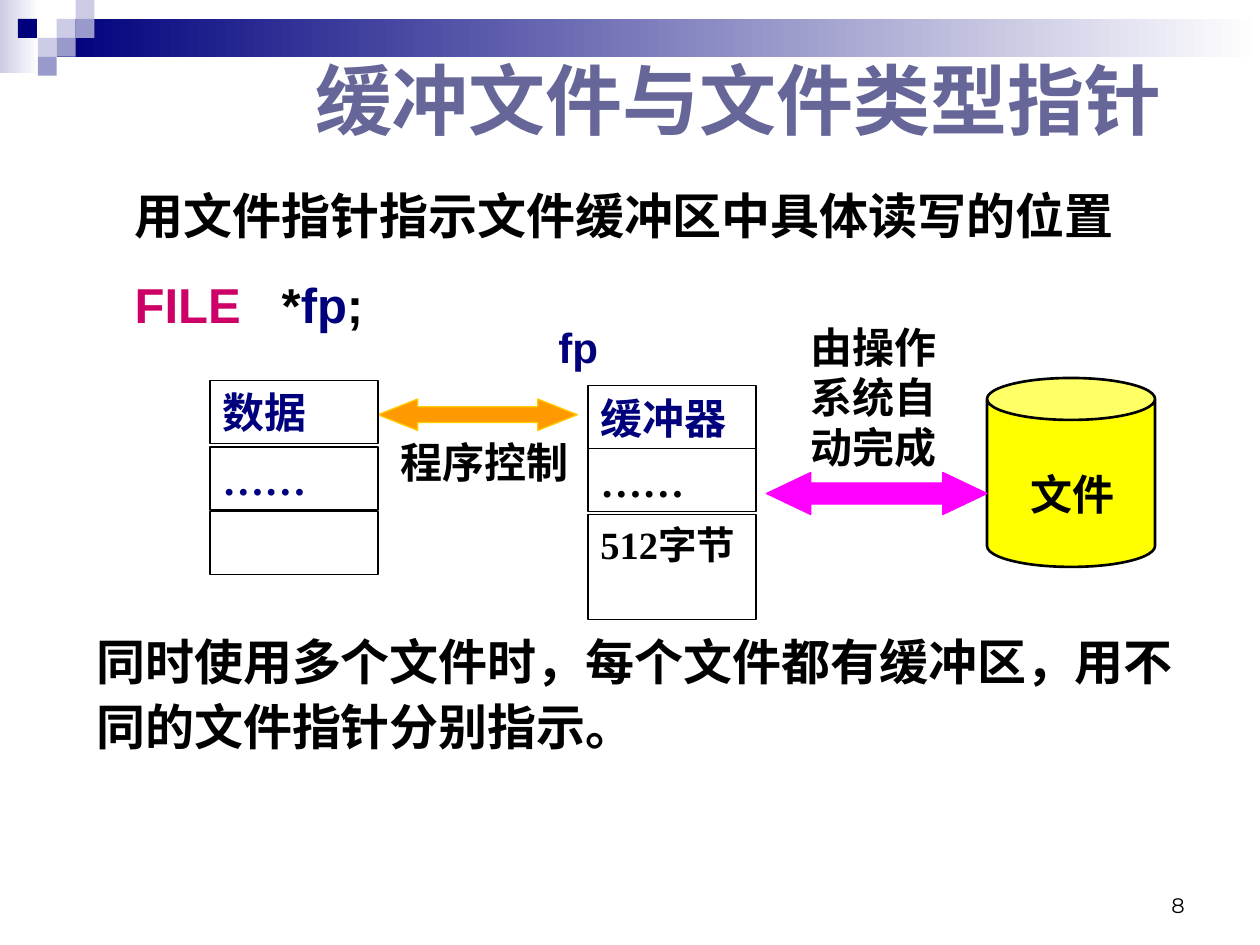
from pptx import Presentation
from pptx.dml.color import RGBColor
from pptx.enum.shapes import MSO_SHAPE
from pptx.enum.text import MSO_ANCHOR, PP_ALIGN
from pptx.oxml.ns import qn
from pptx.util import Pt
from lxml import etree

RECT = MSO_SHAPE.RECTANGLE
ARROW = MSO_SHAPE.LEFT_RIGHT_ARROW
CAN = MSO_SHAPE.CAN
TOP, MIDDLE, BOTTOM = MSO_ANCHOR.TOP, MSO_ANCHOR.MIDDLE, MSO_ANCHOR.BOTTOM
LEFT, RIGHT = PP_ALIGN.LEFT, PP_ALIGN.RIGHT

BLACK = RGBColor(0x00, 0x00, 0x00)
WHITE = RGBColor(0xFF, 0xFF, 0xFF)
NAVY = RGBColor(0x00, 0x00, 0x7D)
PALE = RGBColor(0xCC, 0xCC, 0xE6)
LILAC = RGBColor(0x99, 0x99, 0xCC)
SLATE = RGBColor(0x66, 0x66, 0x99)
ROSE = RGBColor(0xCC, 0x00, 0x66)
YELLOW = RGBColor(0xFF, 0xFF, 0x00)
PINK = RGBColor(0xFF, 0x00, 0xFF)
ORANGE = RGBColor(0xFF, 0x99, 0x00)
GOLD = RGBColor(0xFF, 0xCC, 0x00)

HAN = "Noto Sans CJK SC"
SERIF = "Times New Roman"
SANS = "Arial"
CELL = 10.8  # side of a corner square
BOX_W, BOX_H = 96, 36


def place(shape, x, y, w, h):
    shape.left, shape.top, shape.width, shape.height = Pt(x), Pt(y), Pt(w), Pt(h)


def style(para, size, color, face=SERIF, bold=True, align=LEFT):
    """Set the font of a whole paragraph, with its East Asian face."""
    para.alignment = align
    font = para.font
    font.size, font.bold, font.name = Pt(size), bold, face
    font.color.rgb = color
    props = para._p.pPr.find(qn("a:defRPr"))
    latin = props.find(qn("a:latin"))
    east = etree.Element(qn("a:ea"), typeface=HAN)
    latin.addnext(east)


def add_tab(para, pos):
    tabs = etree.SubElement(para._p.get_or_add_pPr(), qn("a:tabLst"))
    etree.SubElement(tabs, qn("a:tab"), pos=str(Pt(pos)), algn="l")


def add_shape(slide, kind, x, y, w, h, fill=None, line=None, width=0.75):
    shape = slide.shapes.add_shape(kind, Pt(x), Pt(y), Pt(w), Pt(h))
    shape.shadow.inherit = False
    if fill is None:
        shape.fill.background()
    else:
        shape.fill.solid()
        shape.fill.fore_color.rgb = fill
    if line is None:
        shape.line.fill.background()
    else:
        shape.line.color.rgb = line
        shape.line.width = Pt(width)
    return shape


def add_fade(slide, x, y, w, h, color):
    """Add a band that fades to white on the right."""
    fill = add_shape(slide, RECT, x, y, w, h, color).fill
    fill.gradient()
    fill.gradient_angle = 0
    for stop, tone in zip(fill.gradient_stops, (color, WHITE)):
        stop.color.rgb = tone


def add_text(slide, text, x, y, w, h, size=24, color=BLACK, face=SERIF, **look):
    frame = slide.shapes.add_textbox(Pt(x), Pt(y), Pt(w), Pt(h)).text_frame
    frame.word_wrap = True
    para = frame.paragraphs[0]
    para.text = text
    style(para, size, color, face, **look)
    return frame


def add_box(slide, x, y, text="", color=BLACK, size=24, h=BOX_H):
    frame = add_shape(slide, RECT, x, y, BOX_W, h, line=BLACK).text_frame
    frame.word_wrap = True
    frame.vertical_anchor = TOP
    if text:
        para = frame.paragraphs[0]
        para.text = text
        style(para, size, color)


def add_arrow(slide, x, y, w, h, fill, line, head):
    arrow = add_shape(slide, ARROW, x, y, w, h, fill, line)
    arrow.adjustments[1] = head


def draw_banner(slide):
    add_fade(slide, 0, 0, 22.3, 41.8, PALE)
    add_fade(slide, 32.4, CELL, 687.6, 21.6, NAVY)
    cells = [(3, 1, PALE), (4, 0, PALE), (4, 1, LILAC), (2, 2, PALE),
             (0.95, 1, NAVY), (3, 2, LILAC), (2, 3, LILAC)]
    for col, row, color in cells:
        add_shape(slide, RECT, col * CELL, row * CELL, CELL, CELL, color)


def draw_title(slide):
    title = slide.shapes.title
    place(title, 172.8, 23.8, 527, 64.8)
    frame = title.text_frame
    frame.text = "缓冲文件与文件类型指针"
    frame.vertical_anchor = MIDDLE
    style(frame.paragraphs[0], 44, SLATE, HAN)


def draw_intro(slide):
    frame = add_text(slide, "用文件指针指示文件缓冲区中具体读写的位置",
                     48, 96, 636, 120, 28, face=SANS)
    frame.margin_left = Pt(29)
    frame.paragraphs[0].line_spacing = 1.2
    code = frame.add_paragraph()
    code.line_spacing = 1.3
    code.space_before = Pt(7)
    add_tab(code, 84)
    for text, color in [("FILE", ROSE), ("\t*", BLACK), ("fp", NAVY), (";", BLACK)]:
        run = code.add_run()
        run.text = text
        run.font.color.rgb = color
    style(code, 28, BLACK, SANS)


def draw_flow(slide):
    # File on disk and the two transfers
    can = add_shape(slide, CAN, 564, 216, BOX_W, 108, YELLOW, BLACK, 1.5)
    can.adjustments[0] = 0.25
    add_arrow(slide, 438, 270, 126, 24, PINK, PINK, 1.05)
    add_arrow(slide, 216, 228, 114, 18, ORANGE, GOLD, 1.26)

    # Program data
    add_box(slide, 120, 217.5, "数据", NAVY)
    add_box(slide, 120, 255.5, "……", NAVY)
    add_box(slide, 120, 292.5)

    # Buffer
    add_box(slide, 336, 220.5, "缓冲器", NAVY)
    add_box(slide, 336, 256.5, "……")
    add_box(slide, 336, 294, "512字节", size=22, h=60)

    # Labels
    add_text(slide, "文件", 582, 264, 66, 36)
    add_text(slide, "由操作系统自动完成", 456, 180, 102, 93.6)
    add_text(slide, "程序控制", 222, 246, 120, 36)
    add_text(slide, "fp", 312, 180, 42, 36, color=NAVY, face=SANS)


def main():
    deck = Presentation()
    deck.slide_width, deck.slide_height = Pt(720), Pt(540)
    slide = deck.slides.add_slide(deck.slide_layouts[5])
    draw_banner(slide)
    draw_title(slide)
    draw_intro(slide)
    draw_flow(slide)

    # Closing remark and page number
    note = add_text(slide, "同时使用多个文件时，每个文件都有缓冲区，用不同的文件指针分别指示。",
                    48, 354, 630, 81.5, 28, face=SANS)
    note.paragraphs[0].line_spacing = 1.1
    page = add_text(slide, "8", 516, 492, 168, 36, 12, face="Montserrat",
                    bold=False, align=RIGHT)
    page.vertical_anchor = BOTTOM
    deck.save("out.pptx")


if __name__ == "__main__":
    main()
